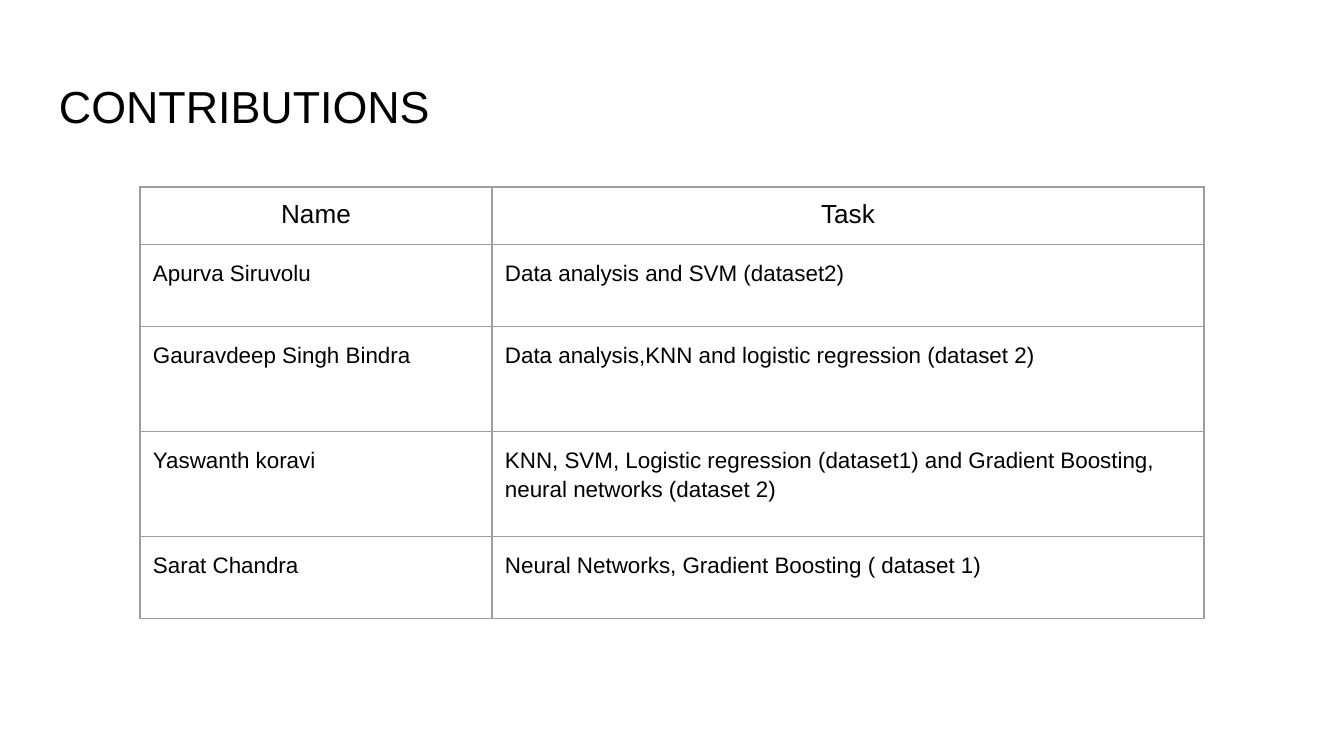
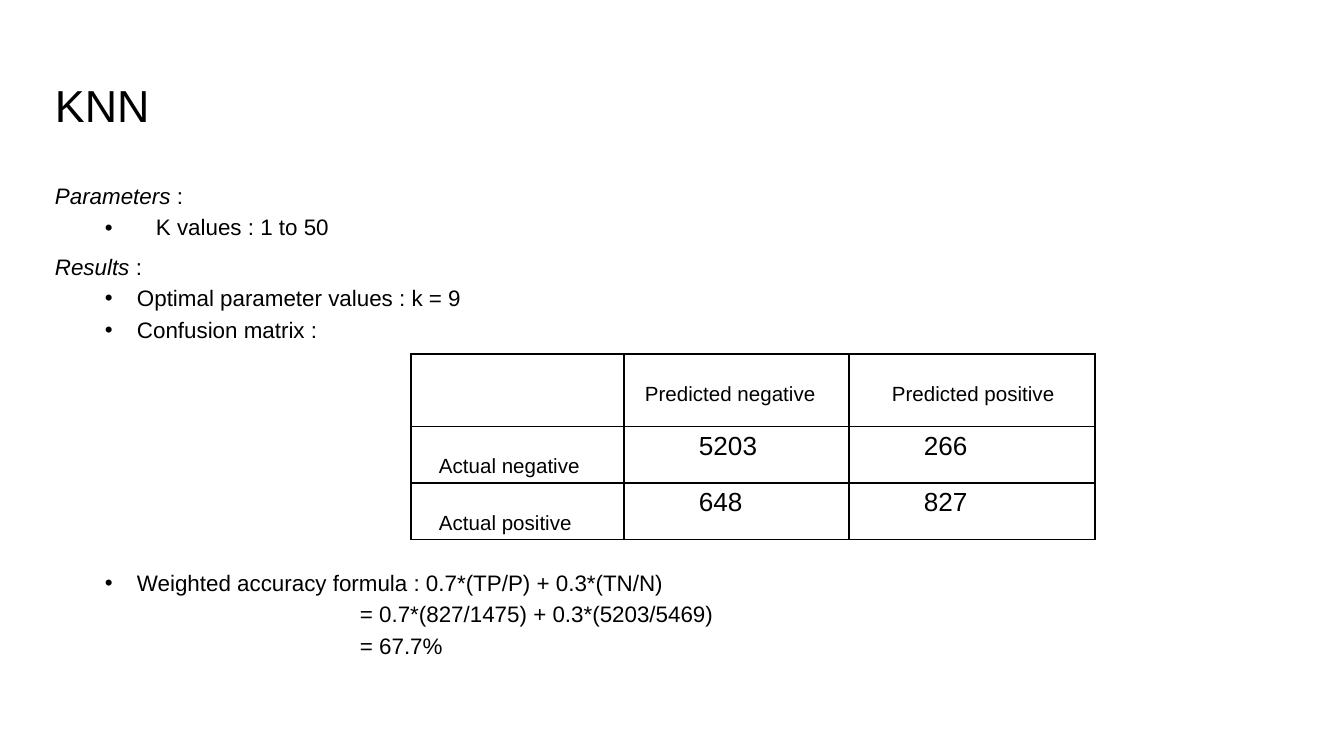
import pptx
import pptx.dml.color
import pptx.enum.text
import pptx.oxml
import pptx.oxml.ns
import pptx.util

EMU_PER_PX = 914400 / 134.4
FONT = "Arial"
BLACK = pptx.dml.color.RGBColor(0x00, 0x00, 0x00)
GREY = pptx.dml.color.RGBColor(0x9E, 0x9E, 0x9E)
TOP = pptx.enum.text.MSO_ANCHOR.TOP
MIDDLE = pptx.enum.text.MSO_ANCHOR.MIDDLE
LEFT = pptx.enum.text.PP_ALIGN.LEFT
CENTER = pptx.enum.text.PP_ALIGN.CENTER

SLIDE_SIZE = (1344, 756)
TITLE_BOX = (46, 66, 1253, 85)
BODY_BOX = (46, 180, 1253, 551)
WIDE_INSETS = (13, 13, 13, 13)
NARROW_INSETS = (9, 5, 9, 5)

CONTRIBUTIONS = [
    ("Name", "Task"),
    ("Apurva Siruvolu", "Data analysis and SVM (dataset2)"),
    ("Gauravdeep Singh Bindra", "Data analysis,KNN and logistic regression (dataset 2)"),
    ("Yaswanth koravi", "KNN, SVM, Logistic regression (dataset1) and Gradient Boosting, "
                        "neural networks (dataset 2)"),
    ("Sarat Chandra", "Neural Networks, Gradient Boosting ( dataset 1)"),
]
CONTRIBUTION_COLUMNS = (352, 712)
CONTRIBUTION_ROWS = (56, 82, 105, 105, 82)

CONFUSION_MATRIX = [
    ("", "Predicted negative", "Predicted positive"),
    ("Actual negative", "5203", "266"),
    ("Actual positive", "648", "827"),
]
MATRIX_COLUMNS = (213, 225, 246)
MATRIX_ROWS = (70, 56, 56)
LABEL_INDENTS = (28, 21, 43)
VALUE_INDENT = 75
LABEL_TOP = 29

# Paragraph kinds: left margin, first-line indent (px), bullet shown
KINDS = {
    "heading": (0, 0, False),
    "parameter": (101, -51, True),
    "result": (82, -32, True),
    "formula": (305, 0, False),
}
# Kind, space before (pt), italic lead, plain text
KNN_BODY = [
    ("heading", 0, "Parameters ", ":"),
    ("parameter", 4, "", "K values : 1 to 50"),
    ("heading", 8, "Results ", ":"),
    ("result", 4, "", "Optimal parameter values : k = 9"),
    ("result", 4, "", "Confusion matrix :"),
    ("result", 122.5, "", "Weighted accuracy formula : 0.7*(TP/P) + 0.3*(TN/N)"),
    ("formula", 4, "", "= 0.7*(827/1475) + 0.3*(5203/5469)"),
    ("formula", 4, "", "= 67.7%"),
]


def px(length):
    return pptx.util.Emu(round(length * EMU_PER_PX))


def add_run(paragraph, text, size, italic=False):
    run = paragraph.add_run()
    run.text = text
    run.font.name = FONT
    run.font.size = pptx.util.Pt(size)
    run.font.italic = italic
    run.font.color.rgb = BLACK


def set_insets(holder, insets):
    """Set the margins of a text frame or a table cell."""
    for side, inset in zip(("left", "top", "right", "bottom"), insets):
        setattr(holder, "margin_" + side, px(inset))


def add_text_frame(slide, box, insets, anchor):
    frame = slide.shapes.add_textbox(*map(px, box)).text_frame
    frame.word_wrap = True
    frame.vertical_anchor = anchor
    set_insets(frame, insets)
    return frame


def add_title(slide, text, insets, anchor, line_spacing):
    paragraph = add_text_frame(slide, TITLE_BOX, insets, anchor).paragraphs[0]
    paragraph.line_spacing = line_spacing
    add_run(paragraph, text, 24)


def indent_paragraph(paragraph, margin, indent, bulleted):
    properties = paragraph._p.get_or_add_pPr()
    properties.set("marL", str(px(margin)))
    properties.set("indent", str(px(indent)))
    if bulleted:
        color = properties.makeelement(pptx.oxml.ns.qn("a:buClr"), {})
        color.append(color.makeelement(pptx.oxml.ns.qn("a:srgbClr"), {"val": str(BLACK)}))
        properties.append(color)
        properties.append(properties.makeelement(pptx.oxml.ns.qn("a:buFont"), {"typeface": FONT}))
        properties.append(properties.makeelement(pptx.oxml.ns.qn("a:buChar"), {"char": "•"}))


def add_body(slide, lines):
    frame = add_text_frame(slide, BODY_BOX, NARROW_INSETS, TOP)
    for index, (kind, space_before, lead, text) in enumerate(lines):
        paragraph = frame.add_paragraph() if index else frame.paragraphs[0]
        paragraph.level = 0 if kind == "heading" else 1
        paragraph.line_spacing = 0.9
        if space_before:
            paragraph.space_before = pptx.util.Pt(space_before)
        indent_paragraph(paragraph, *KINDS[kind])
        if lead:
            add_run(paragraph, lead, 12, italic=True)
        add_run(paragraph, text, 12)


def set_borders(cell, color, width):
    properties = cell._tc.get_or_add_tcPr()
    for position, side in enumerate(("lnL", "lnR", "lnT", "lnB")):
        line = pptx.oxml.parse_xml(
            f'<a:{side} {pptx.oxml.ns.nsdecls("a")} w="{pptx.util.Pt(width)}">'
            f'<a:solidFill><a:srgbClr val="{color}"/></a:solidFill></a:{side}>')
        properties.insert(position, line)


def add_table(slide, left, top, columns, rows, color, width):
    """Add an unfilled table with ruled cells."""
    box = map(px, (left, top, sum(columns), sum(rows)))
    table = slide.shapes.add_table(len(rows), len(columns), *box).table
    table.first_row = table.horz_banding = False
    for column, length in zip(table.columns, columns):
        column.width = px(length)
    for row, length in zip(table.rows, rows):
        row.height = px(length)
    for cell in table.iter_cells():
        cell.fill.background()
        set_borders(cell, color, width)
    return table


def fill_cell(cell, text, size, insets, alignment=LEFT, line_spacing=1.0):
    set_insets(cell, insets)
    paragraph = cell.text_frame.paragraphs[0]
    paragraph.alignment = alignment
    paragraph.line_spacing = line_spacing
    if text:
        add_run(paragraph, text, size)


def build_contributions(slide):
    add_title(slide, "CONTRIBUTIONS", WIDE_INSETS, TOP, 1.0)
    table = add_table(slide, 140, 187, CONTRIBUTION_COLUMNS, CONTRIBUTION_ROWS, GREY, 0.75)
    for row, texts in enumerate(CONTRIBUTIONS):
        size, alignment, spacing = (12, LEFT, 1.15) if row else (14, CENTER, 1.0)
        for column, text in enumerate(texts):
            fill_cell(table.cell(row, column), text, size, WIDE_INSETS, alignment, spacing)


def build_knn(slide):
    add_title(slide, "KNN", NARROW_INSETS, MIDDLE, 0.9)
    add_body(slide, KNN_BODY)
    table = add_table(slide, 411, 354, MATRIX_COLUMNS, MATRIX_ROWS, BLACK, 1)
    for row, texts in enumerate(CONFUSION_MATRIX):
        for column, text in enumerate(texts):
            if row and column:
                size, insets = 14, (VALUE_INDENT, 5, 10, 3)
            else:
                size, insets = 11, (LABEL_INDENTS[column], LABEL_TOP, 10, 3)
            fill_cell(table.cell(row, column), text, size, insets)


def main():
    presentation = pptx.Presentation()
    presentation.slide_width, presentation.slide_height = map(px, SLIDE_SIZE)
    for build in (build_contributions, build_knn):
        build(presentation.slides.add_slide(presentation.slide_layouts[6]))
    presentation.save("out.pptx")


if __name__ == "__main__":
    main()
